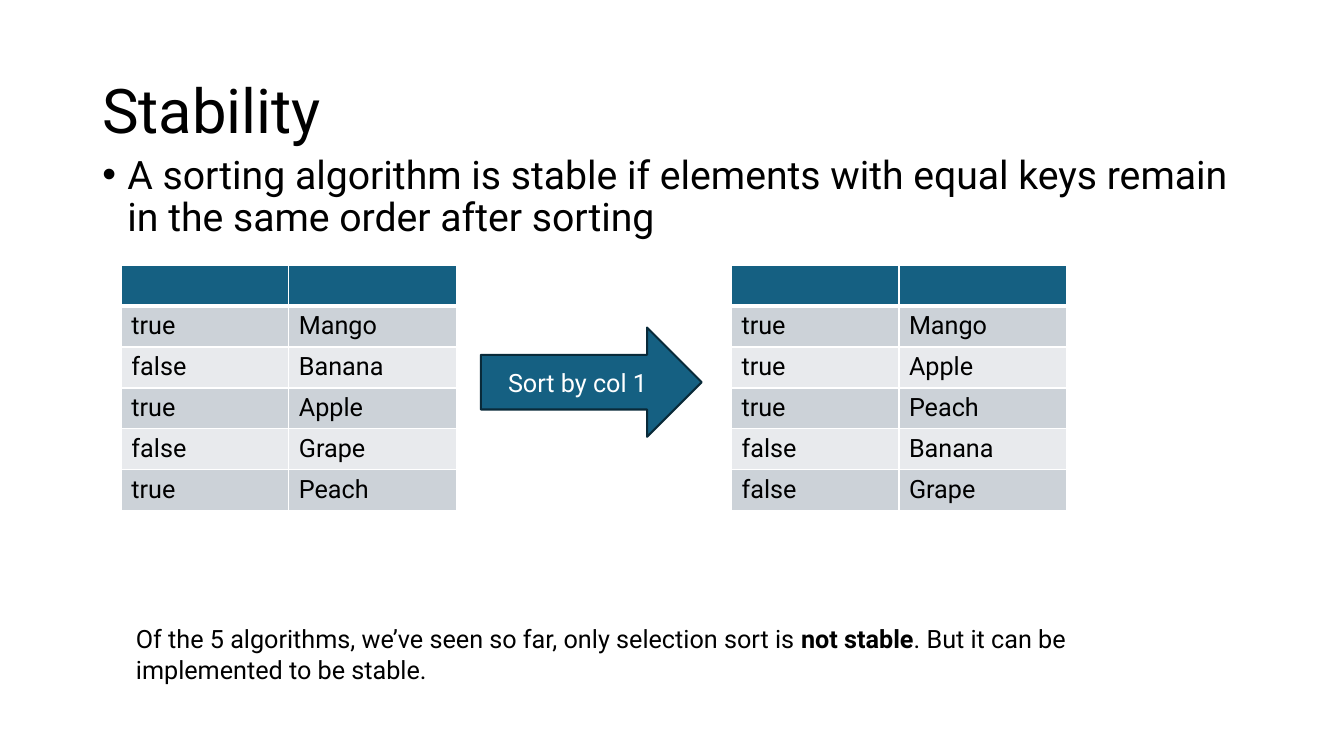
from dataclasses import dataclass

import lxml.etree
import pptx
import pptx.dml.color
import pptx.enum.shapes
import pptx.enum.text
import pptx.oxml.ns
import pptx.slide
import pptx.text.text
import pptx.util

Pt = pptx.util.Pt
qn = pptx.oxml.ns.qn
Anchor = pptx.enum.text.MSO_ANCHOR


@dataclass(frozen=True)
class Theme:
    font: str = "Roboto"
    title_size: float = 44
    body_size: float = 28
    small_size: float = 18
    text: str = "000000"
    white: str = "FFFFFF"
    accent: str = "156082"
    accent_edge: str = "092A39"
    bands: tuple[str, str] = ("CCD2D8", "E8EAED")


@dataclass(frozen=True)
class Frame:
    left: float
    top: float
    width: float
    height: float

    def lengths(self) -> tuple[pptx.util.Length, ...]:
        return Pt(self.left), Pt(self.top), Pt(self.width), Pt(self.height)


@dataclass(frozen=True)
class FruitTable:
    left: float
    rows: tuple[tuple[str, str], ...]


THEME = Theme()
TABLE_TOP, COLUMN_WIDTH, ROW_HEIGHT = 189.5, 119.6, 29.2
THIN_BORDER, HEADER_BORDER = 1, 3

UNSORTED = (
    ("true", "Mango"),
    ("false", "Banana"),
    ("true", "Apple"),
    ("false", "Grape"),
    ("true", "Peach"),
)
# A stable sort with the "true" rows first.
BY_FIRST_COLUMN = tuple(sorted(UNSORTED, key=lambda row: row[0] != "true"))
TABLES = (FruitTable(86.7, UNSORTED), FruitTable(522.5, BY_FIRST_COLUMN))


def rgb(color: str) -> pptx.dml.color.RGBColor:
    return pptx.dml.color.RGBColor.from_string(color)


def add_span(para: pptx.text.text._Paragraph, text: str, size: float,
             color: str = THEME.text, bold: bool = False) -> None:
    span = para.add_run()
    span.text = text
    span.font.name = THEME.font
    span.font.size = Pt(size)
    span.font.bold = bold
    span.font.color.rgb = rgb(color)


def add_text_box(page: pptx.slide.Slide, frame: Frame,
                 anchor: Anchor = Anchor.TOP) -> pptx.text.text._Paragraph:
    """Add a wrapping text box and return its first paragraph."""
    box = page.shapes.add_textbox(*frame.lengths())
    box.text_frame.word_wrap = True
    box.text_frame.vertical_anchor = anchor
    return box.text_frame.paragraphs[0]


def set_bullet(para: pptx.text.text._Paragraph, indent: float) -> None:
    properties = para._p.get_or_add_pPr()
    properties.set("marL", str(Pt(indent)))
    properties.set("indent", str(-Pt(indent)))
    lxml.etree.SubElement(properties, qn("a:buFont"), typeface="Arial")
    lxml.etree.SubElement(properties, qn("a:buChar"), char="•")


def set_borders(cell: pptx.table._Cell, top: float, bottom: float) -> None:
    properties = cell._tc.get_or_add_tcPr()
    sides = {"L": THIN_BORDER, "R": THIN_BORDER, "T": top, "B": bottom}
    for position, (side, width) in enumerate(sides.items()):
        line = lxml.etree.Element(qn(f"a:ln{side}"), w=str(Pt(width)))
        fill = lxml.etree.SubElement(line, qn("a:solidFill"))
        lxml.etree.SubElement(fill, qn("a:srgbClr"), val=THEME.white)
        properties.insert(position, line)


def add_fruit_table(page: pptx.slide.Slide, spec_table: FruitTable) -> None:
    rows = (("", ""), *spec_table.rows)
    frame = Frame(spec_table.left, TABLE_TOP, 2 * COLUMN_WIDTH, len(rows) * ROW_HEIGHT)
    table = page.shapes.add_table(len(rows), 2, *frame.lengths()).table
    for row_index, row in enumerate(rows):
        fill = THEME.bands[(row_index - 1) % 2] if row_index else THEME.accent
        top = HEADER_BORDER if row_index == 1 else THIN_BORDER
        bottom = HEADER_BORDER if row_index == 0 else THIN_BORDER
        for column_index, text in enumerate(row):
            cell = table.cell(row_index, column_index)
            cell.fill.solid()
            cell.fill.fore_color.rgb = rgb(fill)
            set_borders(cell, top, bottom)
            if text:
                add_span(cell.text_frame.paragraphs[0], text, THEME.small_size)


def add_sort_arrow(page: pptx.slide.Slide, frame: Frame) -> None:
    arrow = page.shapes.add_shape(
        pptx.enum.shapes.MSO_SHAPE.RIGHT_ARROW, *frame.lengths())
    arrow.shadow.inherit = False
    arrow.fill.solid()
    arrow.fill.fore_color.rgb = rgb(THEME.accent)
    arrow.line.color.rgb = rgb(THEME.accent_edge)
    arrow.line.width = Pt(1.5)
    arrow.text_frame.word_wrap = True
    arrow.text_frame.vertical_anchor = Anchor.MIDDLE
    para = arrow.text_frame.paragraphs[0]
    para.alignment = pptx.enum.text.PP_ALIGN.CENTER
    add_span(para, "Sort by col 1", THEME.small_size, THEME.white)


def main() -> None:
    deck = pptx.Presentation()
    deck.slide_width, deck.slide_height = Pt(960), Pt(540)
    page = deck.slides.add_slide(deck.slide_layouts[6])

    title = add_text_box(page, Frame(66, 28.75, 828, 104.4), Anchor.MIDDLE)
    title.line_spacing = 0.9
    add_span(title, "Stability", THEME.title_size)

    definition = add_text_box(page, Frame(66, 107.5, 828, 70.5))
    definition.line_spacing = 0.9
    definition.space_before = Pt(10)
    set_bullet(definition, 18)
    add_span(definition, "A sorting algorithm is stable if elements with equal keys "
             "remain in the same order after sorting", THEME.body_size)

    remark = add_text_box(page, Frame(90, 442, 766.8, 51))
    add_span(remark, "Of the 5 algorithms, we’ve seen so far, only selection sort is ",
             THEME.small_size)
    add_span(remark, "not stable", THEME.small_size, bold=True)
    add_span(remark, ". But it can be implemented to be stable.", THEME.small_size)

    for fruit_table in TABLES:
        add_fruit_table(page, fruit_table)
    add_sort_arrow(page, Frame(343.5, 234, 157.7, 78))

    deck.save("out.pptx")


if __name__ == "__main__":
    main()
